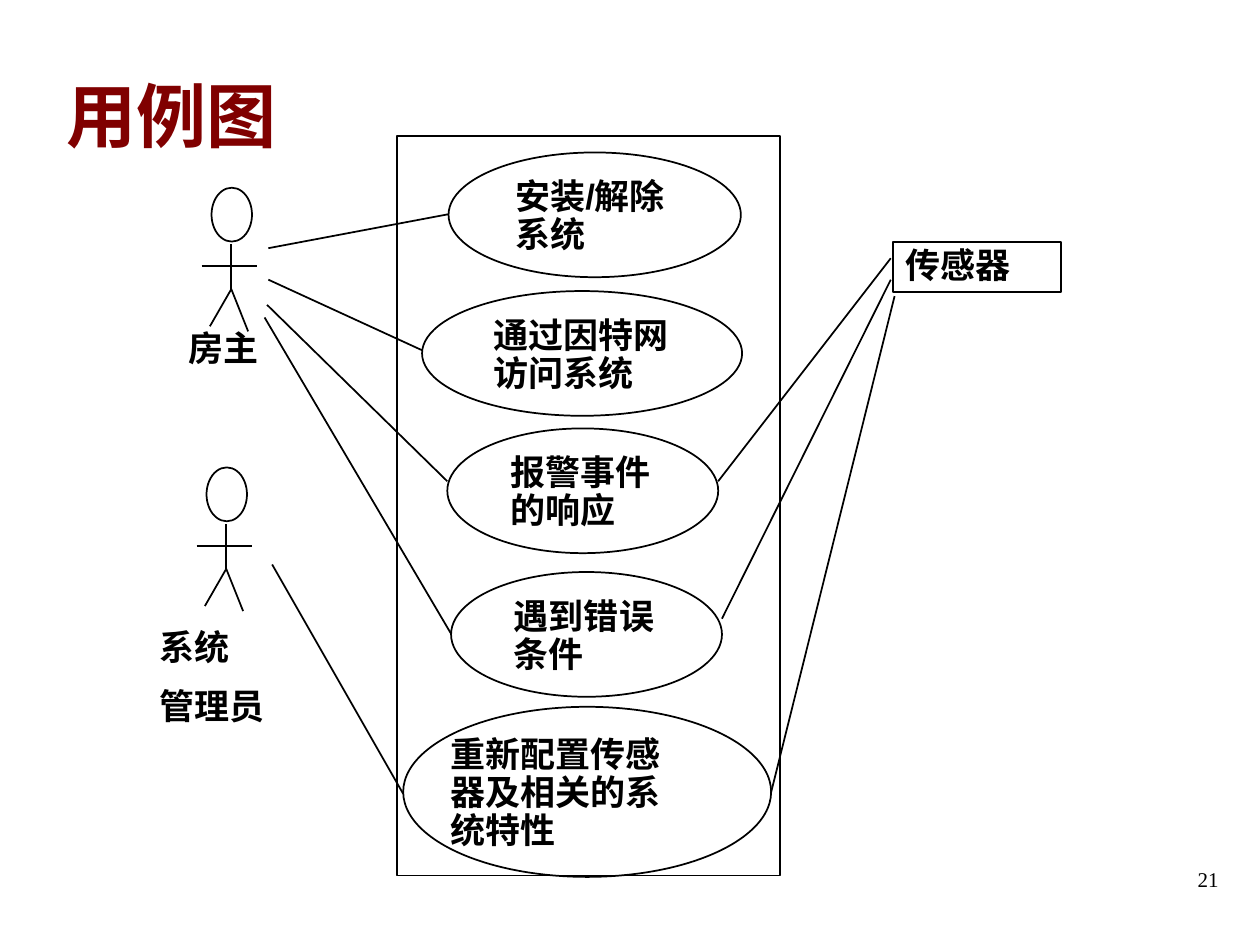
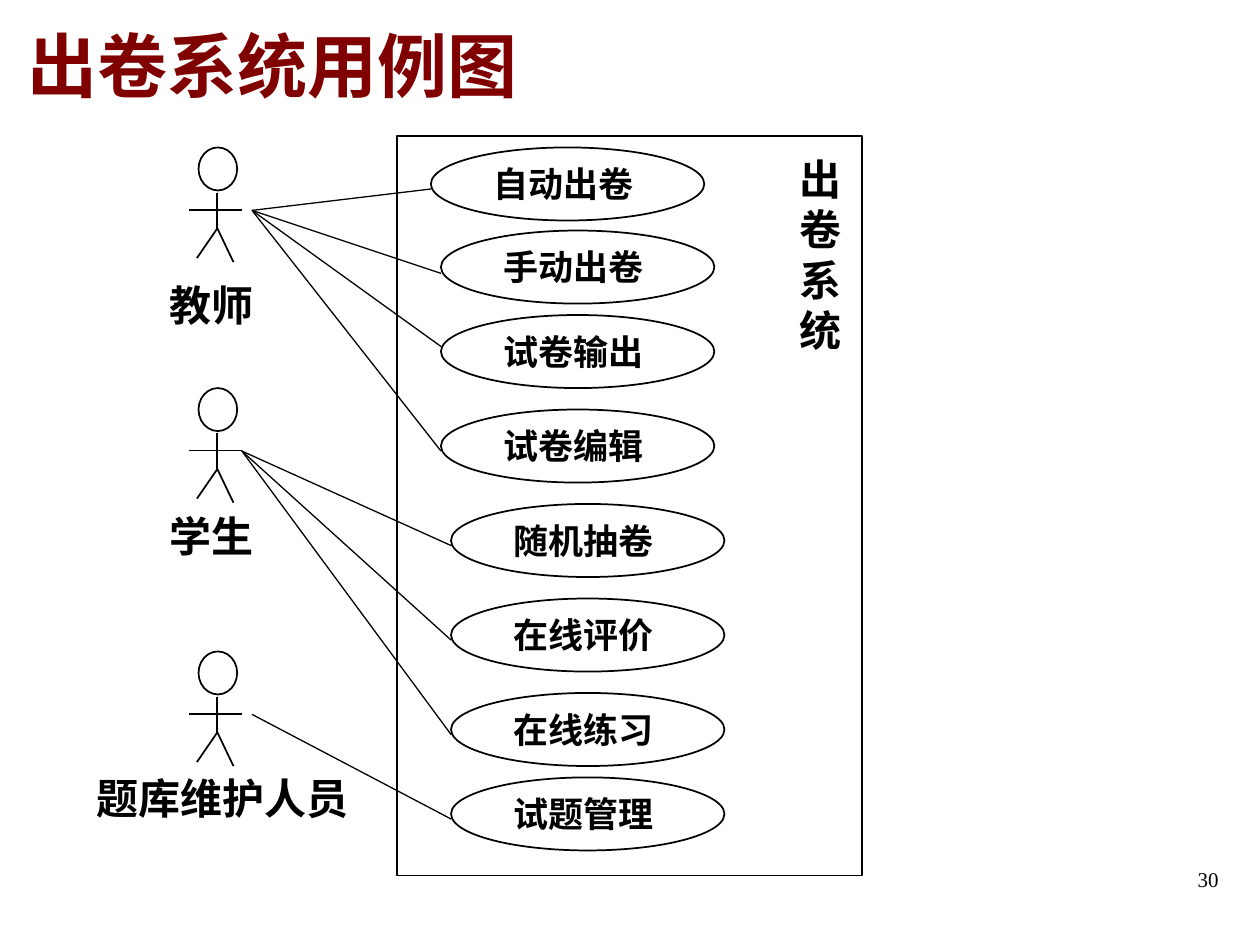
from dataclasses import dataclass

from lxml.etree import SubElement
from pptx import Presentation
from pptx.dml.color import RGBColor
from pptx.enum.shapes import MSO_CONNECTOR, MSO_SHAPE
from pptx.enum.text import MSO_ANCHOR, MSO_AUTO_SIZE, PP_ALIGN
from pptx.oxml.ns import qn
from pptx.util import Inches, Pt


@dataclass(frozen=True)
class TextStyle:
    size: float
    font: str
    bold: bool = True
    color: str = "000000"
    line_spacing: float = 1.0
    space_before: float = 0


class Theme:
    ink = RGBColor(0, 0, 0)
    outline = 1
    title = TextStyle(40, "Times New Roman", color="800000")
    number = TextStyle(12, "Times New Roman", bold=False)
    label = TextStyle(20, "Arial", line_spacing=0.9, space_before=12.5)
    large_label = TextStyle(24, "Times New Roman")


@dataclass(frozen=True)
class UseCase:
    text: str
    left: float
    top: float
    width: float = 2.17
    height: float = 0.58
    text_width: float = 1.37
    text_height: float = 0.4
    text_shift: float = 0


# Stick figure as fractions of its width and height
HEAD = (0.18, 0, 0.73, 0.375)
LIMBS = [
    (0, 0.545, 1, 0.545),
    (0.53, 0.395, 0.53, 0.71),
    (0.53, 0.71, 0.15, 0.965),
    (0.53, 0.7, 0.84, 1),
]

# Actors: label lines, label box, figure left and top
# Links: start x, start y, index of the use case, end y
DIAGRAMS = [
    {
        "title": "用例图",
        "title_box": (0.43, 0.28, 6.23, 1.25),
        "number": "21",
        "system_box": (3.15, 1.08, 3.04, 5.87),
        "figure_size": (0.44, 1.14),
        "label_style": Theme.label,
        "actors": [
            (["房主"], (1.4, 2.58, 1.02, 0.4), 1.6, 1.49),
            (["系统", "管理员"], (1.17, 4.95, 1.23, 0.88), 1.56, 3.71),
        ],
        "use_cases": [
            UseCase("安装/解除系统", 3.56, 1.21, 2.32, 0.99, 1.46, 0.7),
            UseCase("通过因特网访问系统", 3.35, 2.31, 2.54, 0.99, 1.61, 0.7),
            UseCase("报警事件的响应", 3.55, 3.4, 2.15, 0.99, 1.35, 0.7),
            UseCase("遇到错误条件", 3.58, 4.54, 2.15, 0.99, 1.35, 0.7),
            UseCase("重新配置传感器及相关的系统特性", 3.2, 5.61, 2.92, 1.35, 2.11, 1, 0.13),
        ],
        "external_system": ("传感器", (7.09, 1.92, 1.33, 0.4)),
        "link_width": 1,
        "links": [
            (2.13, 1.97, 0, 1.7),
            (2.13, 2.22, 1, 2.78),
            (2.12, 2.42, 2, 3.82),
            (2.1, 2.52, 3, 5.03),
            (2.16, 4.48, 4, 6.3),
            (7.07, 2.05, 2, 3.82),
            (7.07, 2.22, 3, 4.91),
            (7.1, 2.35, 4, 6.29),
        ],
    },
    {
        "title": "出卷系统用例图",
        "title_box": (0.12, -0.11, 8.5, 1.25),
        "number": "30",
        "system_box": (3.15, 1.08, 3.69, 5.87),
        "system_name": ("出卷系统", (6.25, 1.17, 0.5, 1.7)),
        "figure_size": (0.42, 0.91),
        "label_style": Theme.large_label,
        "actors": [
            (["教师"], (1.25, 2.17, 1, 0.5), 1.5, 1.17),
            (["学生"], (1.25, 4, 1, 0.5), 1.5, 3.08),
            (["题库维护人员"], (0.67, 6.08, 2.33, 0.5), 1.5, 5.17),
        ],
        "use_cases": [
            UseCase("自动出卷", 3.42, 1.17),
            UseCase("手动出卷", 3.5, 1.83),
            UseCase("试卷输出", 3.5, 2.5),
            UseCase("试卷编辑", 3.5, 3.25),
            UseCase("随机抽卷", 3.58, 4),
            UseCase("在线评价", 3.58, 4.75),
            UseCase("在线练习", 3.58, 5.5),
            UseCase("试题管理", 3.58, 6.17),
        ],
        "link_width": 0.75,
        "links": [
            (2, 1.67, 0, 1.5),
            (2, 1.67, 1, 2.17),
            (2, 1.67, 2, 2.75),
            (2, 1.67, 3, 3.58),
            (1.92, 3.58, 4, 4.33),
            (1.92, 3.58, 5, 5.08),
            (1.92, 3.58, 6, 5.83),
            (2, 5.67, 7, 6.5),
        ],
    },
]


def inches(values):
    return [Inches(value) for value in values]


def write(shape, lines, style, align=PP_ALIGN.LEFT, anchor=MSO_ANCHOR.TOP):
    frame = shape.text_frame
    frame.text = "\n".join(lines)
    frame.word_wrap = True
    frame.auto_size = MSO_AUTO_SIZE.NONE
    frame.vertical_anchor = anchor
    for index, paragraph in enumerate(frame.paragraphs):
        paragraph.alignment = align
        paragraph.line_spacing = style.line_spacing
        paragraph.space_before = Pt(style.space_before if index else 0)
        paragraph.font.size = Pt(style.size)
        paragraph.font.name = style.font
        paragraph.font.bold = style.bold
        paragraph.font.color.rgb = RGBColor.from_string(style.color)


def add_text(shapes, lines, box, style, align=PP_ALIGN.LEFT):
    write(shapes.add_textbox(*inches(box)), lines, style, align)


def add_outline(shapes, kind, box):
    shape = shapes.add_shape(kind, *inches(box))
    shape.shadow.inherit = False
    shape.fill.background()
    shape.line.color.rgb = Theme.ink
    shape.line.width = Pt(Theme.outline)
    return shape


def add_line(shapes, ends, width=Theme.outline):
    line = shapes.add_connector(MSO_CONNECTOR.STRAIGHT, *inches(ends))
    line.line.color.rgb = Theme.ink
    line.line.width = Pt(width)
    SubElement(line._element.spPr, qn("a:effectLst"))


def add_stick_figure(slide, left, top, size):
    width, height = size
    shapes = slide.shapes.add_group_shape().shapes
    x, y, head_width, head_height = HEAD
    add_outline(shapes, MSO_SHAPE.OVAL, (left + x * width, top + y * height,
                                         head_width * width, head_height * height))
    for x1, y1, x2, y2 in LIMBS:
        add_line(shapes, (left + x1 * width, top + y1 * height,
                          left + x2 * width, top + y2 * height))


def add_use_case(slide, case):
    """Draw an ellipse with its wording centred over it."""
    shapes = slide.shapes.add_group_shape().shapes
    add_outline(shapes, MSO_SHAPE.OVAL, (case.left, case.top, case.width, case.height))
    text_left = case.left + (case.width - case.text_width) / 2 - case.text_shift
    text_top = case.top + (case.height - case.text_height) / 2 + 0.02
    add_text(shapes, [case.text],
             (text_left, text_top, case.text_width, case.text_height), Theme.label)


def add_link(slide, start_x, start_y, case, end_y, width):
    """Join a point to the nearer side of a use case."""
    end_x = case.left if start_x < case.left else case.left + case.width
    add_line(slide.shapes, (start_x, start_y, end_x, end_y), width)


def add_diagram(presentation, diagram):
    slide = presentation.slides.add_slide(presentation.slide_layouts[5])
    title = slide.shapes.title
    title.left, title.top, title.width, title.height = inches(diagram["title_box"])
    write(title, [diagram["title"]], Theme.title, anchor=MSO_ANCHOR.MIDDLE)
    add_text(slide.shapes, [diagram["number"]], (7.44, 6.83, 2.33, 0.52),
             Theme.number, PP_ALIGN.RIGHT)

    add_outline(slide.shapes, MSO_SHAPE.RECTANGLE, diagram["system_box"])
    if "system_name" in diagram:
        name, box = diagram["system_name"]
        add_text(slide.shapes, [name], box, Theme.large_label)
    if "external_system" in diagram:
        name, box = diagram["external_system"]
        write(add_outline(slide.shapes, MSO_SHAPE.RECTANGLE, box), [name], Theme.label)

    for lines, box, left, top in diagram["actors"]:
        add_stick_figure(slide, left, top, diagram["figure_size"])
        add_text(slide.shapes, lines, box, diagram["label_style"])
    cases = diagram["use_cases"]
    for case in cases:
        add_use_case(slide, case)
    for start_x, start_y, index, end_y in diagram["links"]:
        add_link(slide, start_x, start_y, cases[index], end_y, diagram["link_width"])


def main():
    presentation = Presentation()
    presentation.slide_width = Inches(10)
    presentation.slide_height = Inches(7.5)
    for diagram in DIAGRAMS:
        add_diagram(presentation, diagram)
    presentation.save("out.pptx")


if __name__ == "__main__":
    main()
